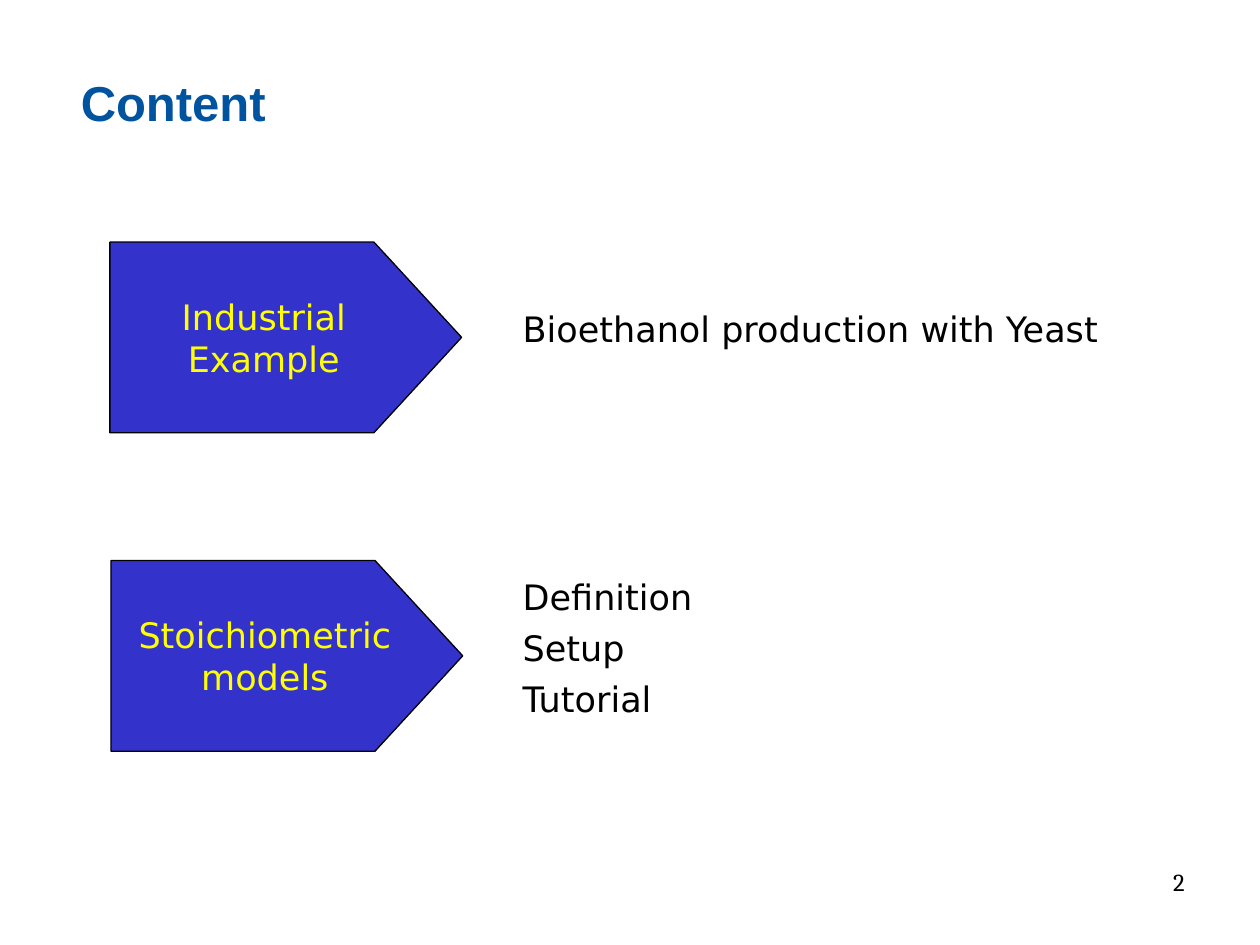
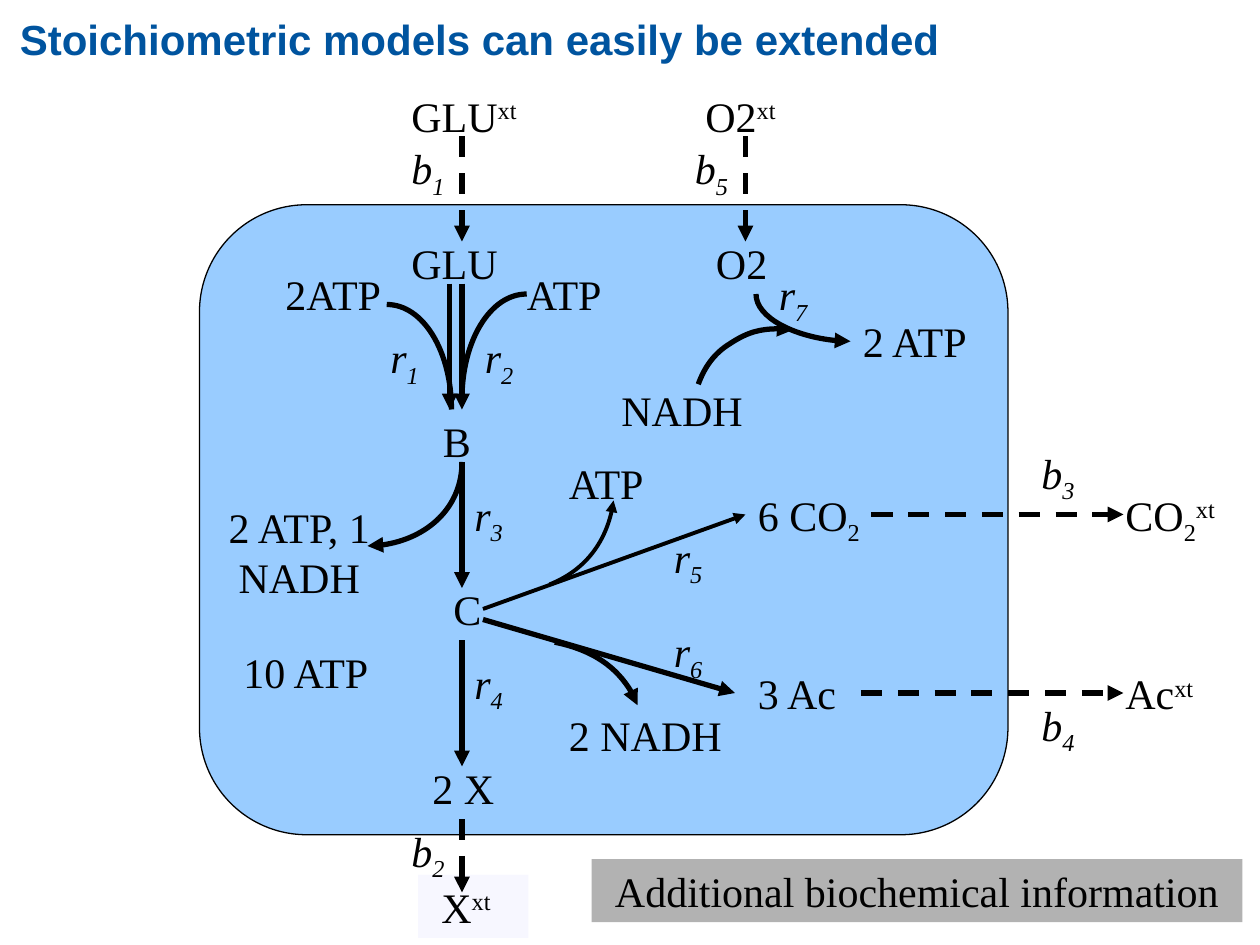
from lxml import etree
from pptx import Presentation
from pptx.dml.color import RGBColor
from pptx.enum import dml, shapes, text as tx
from pptx.oxml.ns import qn
from pptx.util import Pt

BLACK = RGBColor(0x00, 0x00, 0x00)
TITLE = RGBColor(0x00, 0x54, 0x9F)
BLUE = RGBColor(0x33, 0x33, 0xCC)
YELLOW = RGBColor(0xFF, 0xFF, 0x00)
CELL = RGBColor(0x99, 0xCC, 0xFF)
PALE = RGBColor(0xF7, 0xF7, 0xFF)
GREY = RGBColor(0xB2, 0xB2, 0xB2)
LEFT, MID, RIGHT = tx.PP_ALIGN.LEFT, tx.PP_ALIGN.CENTER, tx.PP_ALIGN.RIGHT
KIND = shapes.MSO_SHAPE
SERIF = "Times New Roman"
BASE = {"_": "-25000", "^": "30000"}


def write(slide, text, x, y, w, h, kind=None, fill=None, edge=None, adj=None,
          font=SERIF, size=24, color=BLACK, bold=False, italic=False,
          align=LEFT, pitch=1.0, gap=0, inset=(7.2, 3.6),
          anchor=tx.MSO_ANCHOR.TOP):
    """Add a box of text; "|_" starts a subscript and "|^" a superscript."""
    area = Pt(x), Pt(y), Pt(w), Pt(h)
    if kind is None:
        box = slide.shapes.add_textbox(*area)
    else:
        box = slide.shapes.add_shape(kind, *area)
        box.shadow.inherit = False
        box.fill.solid()
        box.fill.fore_color.rgb = fill
        if edge is None:
            box.line.fill.background()
        else:
            box.line.color.rgb = edge
            box.line.width = Pt(0.75)
        if adj is not None:
            box.adjustments[0] = adj
    frame = box.text_frame
    frame.word_wrap = True
    frame.vertical_anchor = anchor
    frame.margin_left = frame.margin_right = Pt(inset[0])
    frame.margin_top = frame.margin_bottom = Pt(inset[1])
    if not text:
        return
    for i, line in enumerate(text.split("\n")):
        para = frame.paragraphs[0] if i == 0 else frame.add_paragraph()
        para.alignment = align
        para.line_spacing = pitch
        para.space_before = Pt(gap if i else 0)
        for part in line.split("|"):
            run = para.add_run()
            run.text = part.lstrip("_^")
            run.font.name, run.font.size = font, Pt(size)
            run.font.bold, run.font.italic = bold, italic
            run.font.color.rgb = color
            if part[0] in BASE:
                run.font._element.set("baseline", BASE[part[0]])


def ink(line, width=3, dash=False, head=True):
    """Give a connector or curve its black stroke and arrowhead."""
    line.line.color.rgb = BLACK
    line.line.width = Pt(width)
    if dash:
        line.line.dash_style = dml.MSO_LINE.DASH
    if head:
        etree.SubElement(line.line._get_or_add_ln(), qn("a:tailEnd"), type="triangle")
    etree.SubElement(line._element.spPr, qn("a:effectLst"))


deck = Presentation()
deck.slide_width, deck.slide_height = Pt(720), Pt(540)
blank = deck.slide_layouts[6]
head = dict(font="Arial", color=TITLE, bold=True)

# Slide 1: content
page = deck.slides.add_slide(blank)
write(page, "Content", 46.2, 41.6, 529, 45, size=28, inset=(0, 0), **head)
write(page, "2", 516, 492, 168, 37, font="Cambria", size=14, align=RIGHT)

topics = [
    ("Industrial Example", 62.8, 138.3,
     "Bioethanol production with Yeast", 176.7, 27),
    ("Stoichiometric\nmodels", 63.4, 320.3,
     "Definition\nSetup\nTutorial", 329.8, 89),
]
sans = dict(font="DejaVu Sans", size=20)
for topic, x, y, items, top, high in topics:
    write(page, topic, x, y, 201, 109, kind=KIND.PENTAGON, adj=0.46, fill=BLUE,
          edge=BLACK, color=YELLOW, align=MID,
          anchor=tx.MSO_ANCHOR.MIDDLE, **sans)
    write(page, items, 291.6, top, 371, high, pitch=0.8, gap=10, **sans)

# Slide 2: reaction network
page = deck.slides.add_slide(blank)
write(page, "Stoichiometric models can easily be extended", 4.3, 4.3, 712, 37, **head)

# Cell and boxes
write(page, "X|^xt", 239, 500, 63, 36, kind=KIND.RECTANGLE, fill=PALE,
      inset=(13.2, 3.6))
write(page, "", 114, 117, 462, 360, kind=KIND.ROUNDED_RECTANGLE, adj=0.17,
      fill=CELL, edge=BLACK)
write(page, "Additional biochemical information", 338, 491, 372, 36,
      kind=KIND.RECTANGLE, fill=GREY, align=MID)

# Straight reactions
for x1, y1, x2, y2, width, dash in [
    (257, 162, 257, 234, 3, False),
    (264, 162, 264, 234, 3, False),
    (264, 264, 264, 336, 3, False),
    (264, 366, 264, 438, 3, False),
    (276, 348, 426, 294, 2.25, False),
    (276, 354, 420, 396, 3, False),
    (264, 78, 264, 138, 3, True),
    (426, 78, 426, 138, 3, True),
    (264, 468, 264, 510, 3, True),
    (498, 294, 642, 294, 3, True),
    (492, 396, 642, 396, 3, True),
]:
    line = page.shapes.add_connector(
        shapes.MSO_CONNECTOR.STRAIGHT, Pt(x1), Pt(y1), Pt(x2), Pt(y2))
    ink(line, width, dash)

# Curved side reactions: a start, then three Bezier points per stretch
for points, width, tip in [
    ([(221, 174), (242, 174), (258, 201), (258, 234)], 3, False),
    ([(301, 168), (280, 168), (264, 195), (264, 228)], 3, False),
    ([(264, 264), (264, 290), (240, 312), (210, 312)], 3, True),
    ([(314, 334), (334, 326), (348, 307.5), (350.6, 286)], 2.25, True),
    ([(317, 367), (339, 371.5), (358, 385), (364.3, 403)], 3, True),
    ([(432, 168), (432, 181.5), (459, 195), (486, 195)], 3, True),
    ([(399, 219.6), (402.5, 210), (408, 202), (417, 196.5),
      (427.7, 189.4), (440.6, 186.5), (453, 188.6)], 3, True),
]:
    spots = [(Pt(x), Pt(y)) for x, y in points]
    form = page.shapes.build_freeform(*spots[0])
    form.add_line_segments(spots[1:], close=False)
    curve = form.convert_to_shape()
    curve.fill.background()
    steps = list(curve._element.iter(qn("a:lnTo")))
    for i in range(0, len(steps), 3):
        bend = etree.Element(qn("a:cubicBezTo"))
        steps[i].addprevious(bend)
        for step in steps[i:i + 3]:
            bend.append(step[0])
            step.getparent().remove(step)
    ink(curve, width, head=tip)

# Compounds
for name, x, y, w in [
    ("GLU|^xt", 228, 48, 84), ("O2|^xt", 396, 48, 66),
    ("GLU", 228, 132, 66), ("O2", 402, 132, 60),
    ("2ATP", 156, 150, 72), ("ATP", 294, 150, 66),
    ("2 ATP", 486, 177, 108), ("NADH", 348, 216, 102),
    ("B", 246, 234, 36), ("ATP", 318, 258, 66),
    ("C", 252, 330, 36), ("10 ATP", 132, 366, 96),
    ("6 CO|_2", 426, 276, 96), ("CO|_2|^xt", 636, 276, 84),
    ("3 Ac", 426, 378, 72), ("Ac|^xt", 636, 378, 66),
    ("2 NADH", 318, 402, 102), ("2 X", 240, 432, 54),
]:
    write(page, name, x, y, w, 36)
write(page, "2 ATP, 1 NADH", 120, 283, 102, 65, align=MID)

# Rates
for rate, x, y in [
    ("b|_1", 228, 78), ("b|_2", 228, 468), ("b|_3", 588, 252),
    ("b|_4", 588, 396), ("b|_5", 390, 78),
    ("r|_1", 216, 186), ("r|_2", 270, 186), ("r|_3", 264, 276),
    ("r|_4", 264, 372), ("r|_5", 378, 300), ("r|_6", 378, 354),
    ("r|_7", 438, 150),
]:
    write(page, rate, x, y, 54, 36, italic=True)

deck.save("out.pptx")
